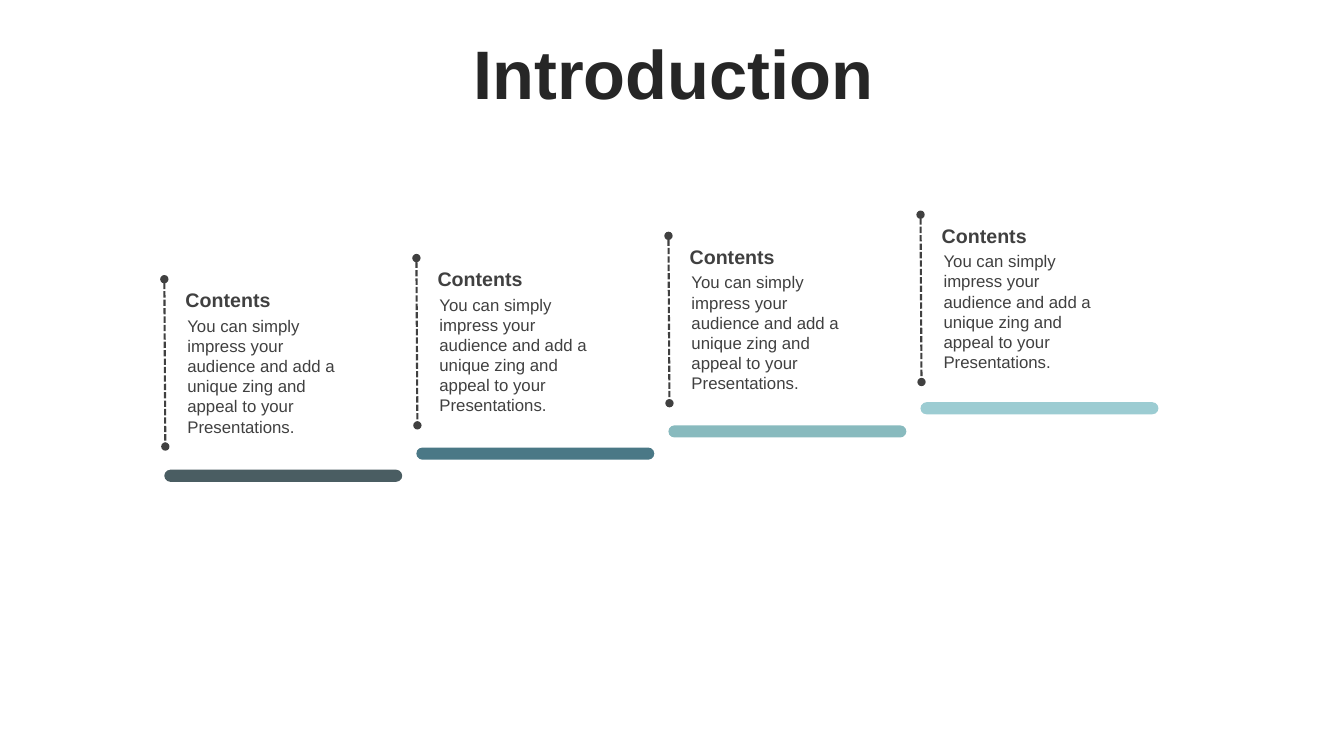
from dataclasses import dataclass

from lxml import etree
from pptx import Presentation
from pptx.dml.color import RGBColor
from pptx.enum.dml import MSO_LINE
from pptx.enum.shapes import MSO_CONNECTOR, MSO_SHAPE
from pptx.enum.text import MSO_ANCHOR, MSO_AUTO_SIZE, PP_ALIGN
from pptx.oxml.ns import qn
from pptx.shapes.autoshape import Shape
from pptx.slide import Slide
from pptx.util import Emu, Pt

PX = 9144  # 100 px to the inch
LEFT, PITCH = 163, 250
BAR_W, BAR_H = 236, 12
LINE_H = 166
DARK, GREY = "262626", "404040"
HEAD = "Contents"
BODY = ("You can simply impress your audience and add a unique zing "
        "and appeal to your Presentations.")


@dataclass
class Step:
    text_top: int
    bar_top: int
    color: str


STEPS = [
    Step(308, 466, "4A5D62"),
    Step(287, 444, "4A7886"),
    Step(265, 422, "88BABE"),
    Step(244, 399, "9CCCD2"),
]


def px(*sizes: int) -> list[Emu]:
    return [Emu(size * PX) for size in sizes]


def rgb(code: str) -> RGBColor:
    return RGBColor.from_string(code)


def add_text(shapes, box: tuple[int, int, int, int], text: str, size: int,
             color: str, bold: bool = False, inset: int = 10) -> Shape:
    label = shapes.add_textbox(*px(*box))
    frame = label.text_frame
    frame.word_wrap = True
    frame.margin_left, frame.margin_right = px(inset, inset)
    para = frame.paragraphs[0]
    para.text = text
    font = para.font
    font.name, font.size, font.bold = "Arial", Pt(size), bold
    font.color.rgb = rgb(color)
    return label


def add_title(slide: Slide, text: str) -> None:
    frame = add_text(slide.shapes, (35, 37, 1266, 79), text, 49, DARK,
                     bold=True).text_frame
    frame.vertical_anchor = MSO_ANCHOR.MIDDLE
    para = frame.paragraphs[0]
    para.alignment = PP_ALIGN.CENTER
    para.line_spacing = 0.9


def add_bar(slide: Slide, left: int, step: Step) -> None:
    bar = slide.shapes.add_shape(MSO_SHAPE.ROUNDED_RECTANGLE,
                                 *px(left, step.bar_top, BAR_W, BAR_H))
    bar.adjustments[0] = 0.5
    bar.shadow.inherit = False
    bar.fill.solid()
    bar.fill.fore_color.rgb = rgb(step.color)
    bar.line.fill.background()


def add_note(slide: Slide, left: int, top: int) -> None:
    group = slide.shapes.add_group_shape()
    body = add_text(group.shapes, (left + 13, top, 172, 131), BODY, 12, GREY)
    head = add_text(group.shapes, (left + 9, top - 27, 173, 34), HEAD, 14,
                    GREY, bold=True, inset=12)
    for label in (body, head):
        label.text_frame.auto_size = MSO_AUTO_SIZE.SHAPE_TO_FIT_TEXT


def add_line(slide: Slide, left: int, top: int) -> None:
    """Draw the dashed line with a dot at each end."""
    link = slide.shapes.add_connector(
        MSO_CONNECTOR.STRAIGHT, *px(left, top, left + 1, top + LINE_H))
    line = link.line
    line.color.rgb = rgb(GREY)
    line.width = Pt(1.5)
    line.dash_style = MSO_LINE.SQUARE_DOT
    props = link._element.spPr
    for end in ("a:headEnd", "a:tailEnd"):
        etree.SubElement(props.find(qn("a:ln")), qn(end), type="oval")
    etree.SubElement(props, qn("a:effectLst"))


def main() -> None:
    deck = Presentation()
    deck.slide_width, deck.slide_height = px(1333, 750)
    slide = deck.slides.add_slide(deck.slide_layouts[6])
    add_title(slide, "Introduction")
    for i, step in enumerate(STEPS):
        left = LEFT + i * PITCH
        add_bar(slide, left, step)
        add_note(slide, left, step.text_top)
        add_line(slide, left, step.text_top - 31)
    deck.save("out.pptx")


if __name__ == "__main__":
    main()
